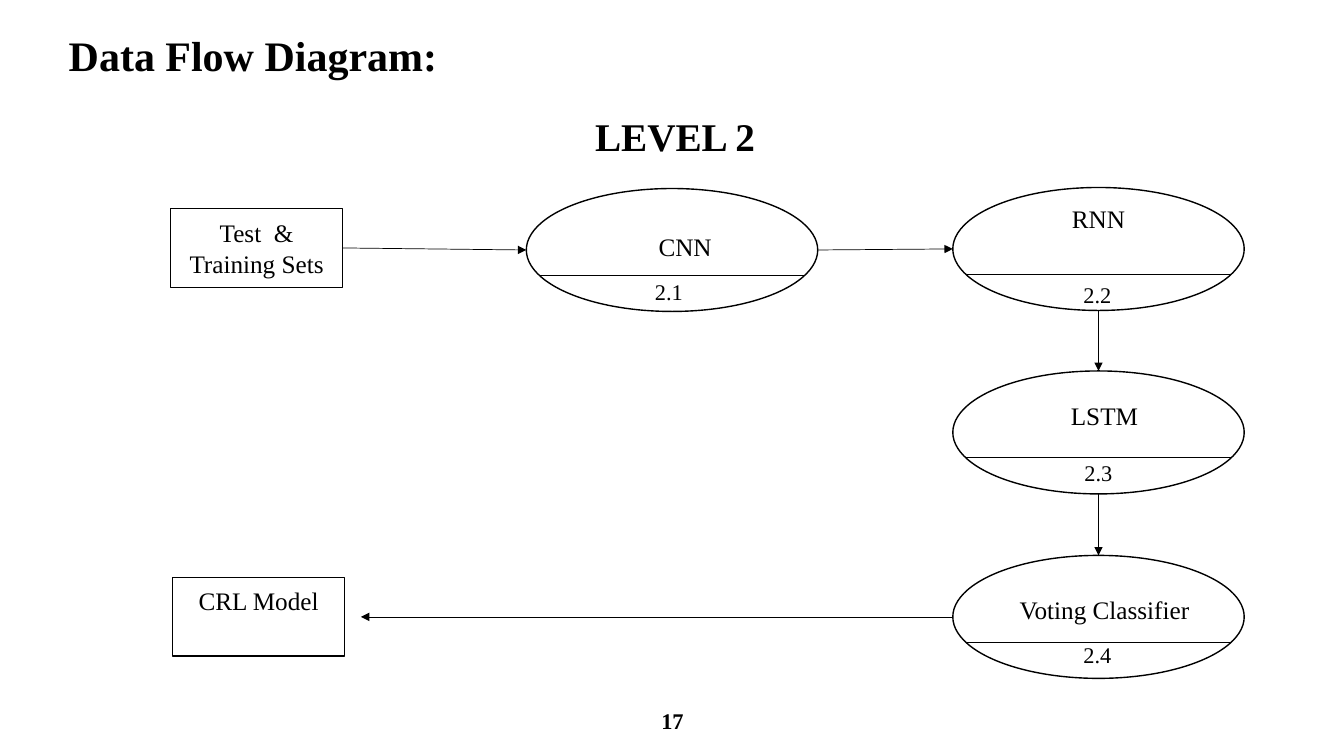
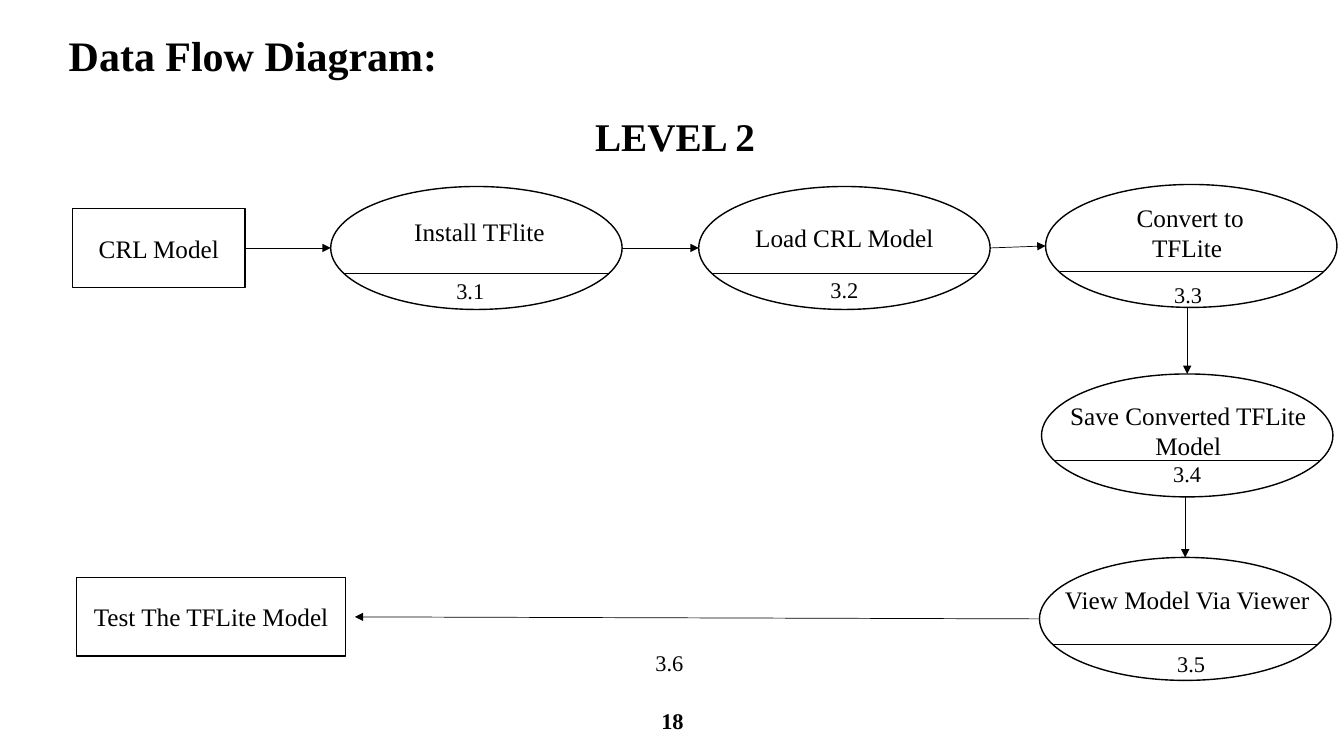
from pptx import Presentation
from pptx import util as u
from pptx.dml.color import RGBColor
from pptx.enum import shapes, text
from pptx.oxml.ns import qn
from lxml import etree

FONT, INK, PAPER = "Times New Roman", "000000", "FFFFFF"
TITLE, LEVEL = "Data Flow Diagram:", "LEVEL 2"
TITLE_AREA = (0.27, 0.33, 4.48, 0.52)
BODY_AREA = (0.67, 1.12, 12.05, 5.61)
PAGE_AREA = (4.42, 6.95, 4.5, 0.4)
OVAL_WIDTH, OVAL_HEIGHT = 2.89, 1.22
DIVIDER_INSET, DIVIDER_DROP = 0.13, 0.86
LABEL_WIDTH, NUMBER_WIDTH = 2.74, 0.8
LABEL_HEIGHT, NUMBER_HEIGHT = 0.4, 0.37
BOX_HEIGHT, FIRST_ROW, LAST_ROW = 0.78, 2.07, 5.73

DIAGRAMS = [
    {
        "page": "17",
        "source": ("Test  & Training Sets", 1.69, 1.71, {}),
        "result": ("CRL Model", 1.71, 1.71,
                   {"anchor": text.MSO_ANCHOR.TOP, "top_inset": 0.08}),
        "arrow_end": 3.58,
        "processes": [
            ((5.22, 1.87), "CNN", (0.13, 0.38), "2.1", (-0.03, 0.84), LABEL_WIDTH),
            ((9.45, 1.86), "RNN", (0, 0.11), "2.2", (-0.01, 0.88), LABEL_WIDTH),
            ((9.45, 3.68), "LSTM", (0.06, 0.24), "2.3", (0, 0.83), LABEL_WIDTH),
            ((9.45, 5.51), "Voting Classifier", (0.06, 0.34), "2.4", (-0.01, 0.8), LABEL_WIDTH),
        ],
        "loose_numbers": [],
    },
    {
        "page": "18",
        "source": ("CRL Model", 0.72, 1.71, {}),
        "result": ("Test The TFLite Model", 0.76, 2.67, {}),
        "arrow_end": 3.52,
        "processes": [
            ((3.28, 1.85), "Install TFlite", (0.03, 0.25), "3.1", (-0.06, 0.85), LABEL_WIDTH),
            ((6.93, 1.85), "Load CRL Model", (0, 0.31), "3.2", (0, 0.84), LABEL_WIDTH),
            ((10.37, 1.83), "Convert to TFLite ", (-0.01, 0.13), "3.3", (-0.03, 0.91), 1.75),
            ((10.33, 3.71), "Save Converted TFLite Model", (0.01, 0.21), "3.4", (0, 0.81), LABEL_WIDTH),
            ((10.31, 5.53), "View Model Via Viewer", (0.02, 0.22), "3.5", (0.06, 0.87), LABEL_WIDTH),
        ],
        "loose_numbers": [("3.6", 6.64, 6.39)],
    },
]


def inches(*lengths):
    return [u.Inches(length) for length in lengths]


def color(value):
    return RGBColor.from_string(value)


def write(shape, words, size=18, bold=False, anchor=text.MSO_ANCHOR.MIDDLE,
          top_inset=0.05, line_spacing=None, space_before=None):
    frame = shape.text_frame
    frame.word_wrap = True
    frame.auto_size = text.MSO_AUTO_SIZE.NONE
    frame.vertical_anchor = anchor
    frame.margin_top = u.Inches(top_inset)
    paragraph = frame.paragraphs[0]
    paragraph.alignment = text.PP_ALIGN.CENTER
    if line_spacing:
        paragraph.line_spacing = line_spacing
    if space_before:
        paragraph.space_before = u.Pt(space_before)
    run = paragraph.add_run()
    run.text = words
    run.font.name, run.font.size, run.font.bold = FONT, u.Pt(size), bold
    run.font.color.rgb = color(INK)


def add_text(slide, words, area, **style):
    style.setdefault("anchor", text.MSO_ANCHOR.TOP)
    write(slide.shapes.add_textbox(*inches(*area)), words, **style)


def add_number(slide, number, center, top):
    area = (center - NUMBER_WIDTH / 2, top, NUMBER_WIDTH, NUMBER_HEIGHT)
    add_text(slide, number, area, size=16)


def add_outline(slide, preset, area):
    shape = slide.shapes.add_shape(preset, *inches(*area))
    shape.shadow.inherit = False
    shape.fill.solid()
    shape.fill.fore_color.rgb = color(PAPER)
    shape.line.color.rgb = color(INK)
    shape.line.width = u.Pt(1)
    return shape


def add_box(slide, label, left, width, style, top):
    box = add_outline(slide, shapes.MSO_SHAPE.RECTANGLE, (left, top, width, BOX_HEIGHT))
    write(box, label, **style)
    return box


def add_line(slide, start, end, arrow=False):
    line = slide.shapes.add_connector(shapes.MSO_CONNECTOR.STRAIGHT, *inches(*start, *end))
    line.line.color.rgb = color(INK)
    line.line.width = u.Pt(0.5)
    if arrow:
        etree.SubElement(line.line._get_or_add_ln(), qn("a:tailEnd"), type="triangle")
    etree.SubElement(line._element.spPr, qn("a:effectLst"))
    return line


def add_process(slide, position, label, label_shift, number, number_shift, label_width):
    left, top = position
    center, divider = left + OVAL_WIDTH / 2, top + DIVIDER_DROP
    oval = add_outline(slide, shapes.MSO_SHAPE.OVAL, (left, top, OVAL_WIDTH, OVAL_HEIGHT))
    add_line(slide, (left + DIVIDER_INSET, divider), (left + OVAL_WIDTH - DIVIDER_INSET, divider))
    label_left = center + label_shift[0] - label_width / 2
    add_text(slide, label, (label_left, top + label_shift[1], label_width, LABEL_HEIGHT))
    add_number(slide, number, center + number_shift[0], top + number_shift[1])
    return oval


def link_processes(slide, before, after, oval):
    (left, top), (next_left, next_top) = before, after
    if next_top - top > OVAL_HEIGHT:
        center = next_left + OVAL_WIDTH / 2
        arrow = add_line(slide, (center, top + OVAL_HEIGHT), (center, next_top), arrow=True)
        arrow.end_connect(oval, 0)
    else:
        middle = OVAL_HEIGHT / 2
        add_line(slide, (left + OVAL_WIDTH, top + middle), (next_left, next_top + middle), arrow=True)


def add_frame(presentation, page):
    slide = presentation.slides.add_slide(presentation.slide_layouts[0])
    title, body = slide.shapes.title, slide.placeholders[1]
    for placeholder, area in ((title, TITLE_AREA), (body, BODY_AREA)):
        placeholder.left, placeholder.top, placeholder.width, placeholder.height = inches(*area)
    write(title, TITLE, size=30, bold=True, anchor=text.MSO_ANCHOR.BOTTOM, line_spacing=0.9)
    write(body, LEVEL, size=28, bold=True, anchor=text.MSO_ANCHOR.TOP,
          line_spacing=0.9, space_before=10)
    add_text(slide, page, PAGE_AREA, size=16, bold=True, anchor=text.MSO_ANCHOR.MIDDLE)
    return slide


def add_diagram(presentation, diagram):
    slide = add_frame(presentation, diagram["page"])
    source = add_box(slide, *diagram["source"], FIRST_ROW)
    add_box(slide, *diagram["result"], LAST_ROW)
    processes = diagram["processes"]
    ovals = [add_process(slide, *process) for process in processes]
    positions = [process[0] for process in processes]
    for before, after, oval in zip(positions, positions[1:], ovals[1:]):
        link_processes(slide, before, after, oval)
    middle = OVAL_HEIGHT / 2
    (first_left, first_top), (last_left, last_top) = positions[0], positions[-1]
    entry = add_line(slide, (0, 0), (first_left, first_top + middle), arrow=True)
    entry.begin_connect(source, 3)
    add_line(slide, (last_left, last_top + middle),
             (diagram["arrow_end"], LAST_ROW + BOX_HEIGHT / 2), arrow=True)
    for number, center, top in diagram["loose_numbers"]:
        add_number(slide, number, center, top)


def main():
    """Build the two level 2 data flow diagrams."""
    presentation = Presentation()
    presentation.slide_width, presentation.slide_height = inches(13.33, 7.5)
    for diagram in DIAGRAMS:
        add_diagram(presentation, diagram)
    presentation.save("out.pptx")


if __name__ == "__main__":
    main()
